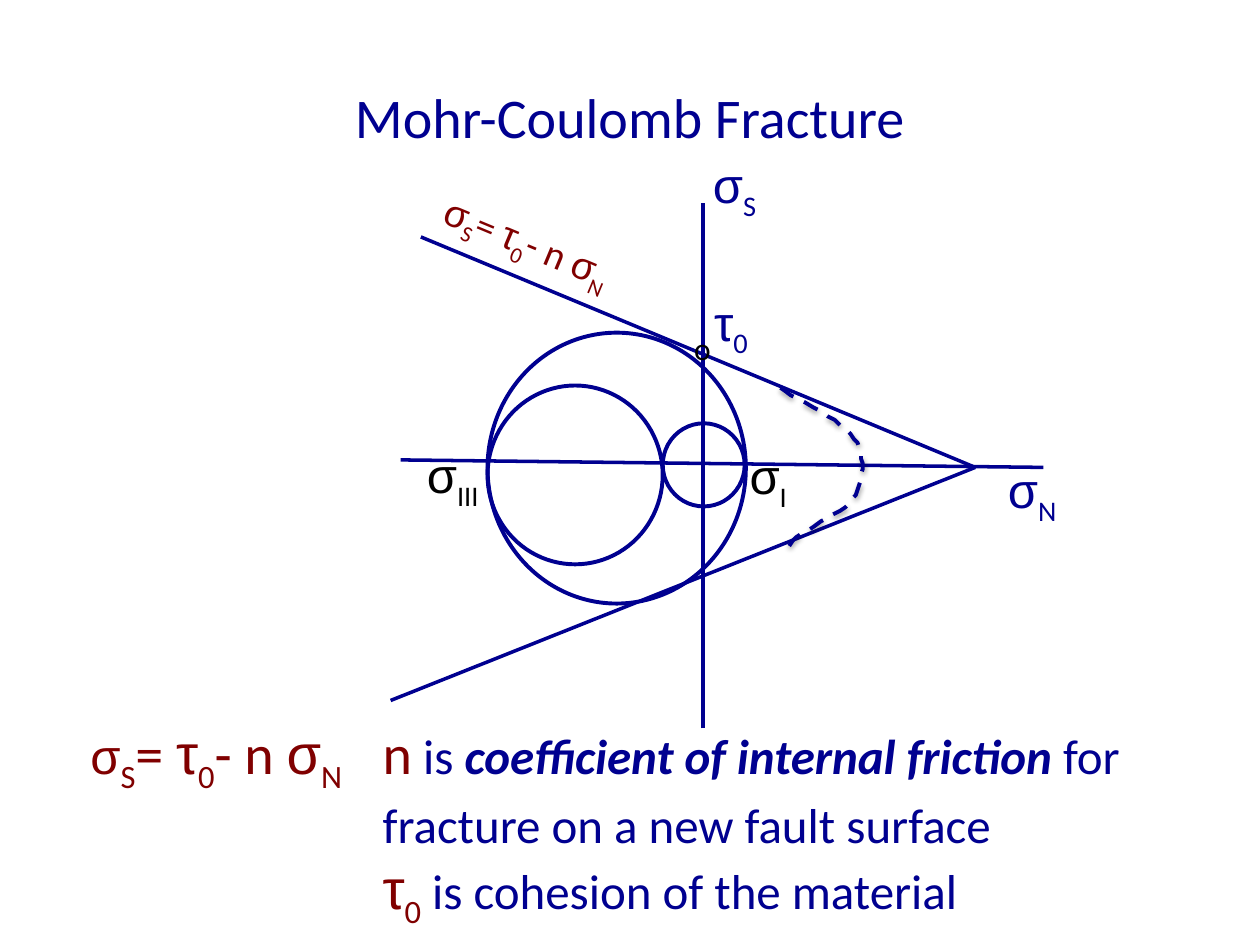
"""Build the Mohr-Coulomb fracture slide."""
from lxml import etree
from pptx import Presentation
from pptx.dml import color
from pptx.enum import dml, shapes, text
from pptx.oxml import ns
from pptx.util import Pt

NAVY, RED, BLACK = "000090", "800000", "000000"
hue = color.RGBColor.from_string


def put(para, words, size, tint, bold=False):
    """Add runs split at bars; a leading underscore marks a subscript."""
    for part in words.split("|"):
        run = para.add_run()
        run.text = part.lstrip("_")
        font = run.font
        font.size = Pt(size)
        font.name = "Arial" if part in "στ" else "Calibri"
        font.bold = font.italic = bold
        font.color.rgb = hue(tint)
        if part.startswith("_"):
            run._r.get_or_add_rPr().set("baseline", "-25000")


def trim(shape, width, tint=NAVY):
    """Give a shape or connector a plain line."""
    shape.line.color.rgb = hue(tint)
    shape.line.width = Pt(width)


deck = Presentation()
deck.slide_width, deck.slide_height = Pt(720), Pt(540)
slide = deck.slides.add_slide(deck.slide_layouts[5])
draw = slide.shapes

title = draw.title
title.left, title.top, title.width, title.height = Pt(36), Pt(21.6), Pt(648), Pt(90)
title.text_frame.vertical_anchor = text.MSO_ANCHOR.MIDDLE
head = title.text_frame.paragraphs[0]
head.alignment = text.PP_ALIGN.CENTER
put(head, "Mohr-Coulomb Fracture", 32, NAVY)

note = draw.add_textbox(Pt(44.6), Pt(406.8), Pt(652.3), Pt(118.8)).text_frame
note.word_wrap = True
first, last = note.paragraphs[0], note.add_paragraph()
for para, dent in ((first, -167), (last, 0)):
    props = para._p.get_or_add_pPr()
    props.set("marL", str(Pt(167)))
    props.set("indent", str(Pt(dent)))
put(first, "σ", 28, RED)
put(first, "_S|= |τ|_0|- n |σ|_N|\tn", 32, RED)
put(first, " is ", 28, NAVY)
put(first, "coefficient of internal friction", 28, NAVY, bold=True)
put(first, " for fracture on a new fault surface", 28, NAVY)
put(last, "τ|_0", 32, RED)
put(last, " is cohesion of the material", 28, NAVY)

tip = (557.3, 267.1)
lines = [
    ((229, 262.8), (596.2, 267.1)),
    ((401.8, 416.2), (401.8, 115.9)),
    ((240.5, 135.4), tip),
    ((223.2, 400.3), tip),
]
for start, end in lines:
    line = draw.add_connector(
        shapes.MSO_CONNECTOR.STRAIGHT, *(Pt(n) for n in start + end))
    trim(line, 2)
    etree.SubElement(line._element.spPr, ns.qn("a:effectLst"))

rings = [
    (278.6, 190.1, 147.6, 154.8),
    (278.6, 220.3, 100.1, 102.2),
    (378.7, 241.9, 46.8, 47.5),
]
for box in rings:
    ring = draw.add_shape(shapes.MSO_SHAPE.OVAL, *(Pt(n) for n in box))
    ring.fill.background()
    ring.shadow.inherit = False
    trim(ring, 2.25)

knots = [
    (451.4, 311.8), (456.5, 301.7), (481, 295.2), (487.4, 285.1),
    (493.2, 275), (495.4, 261.4), (488.2, 250.6),
    (481, 239.8), (457.9, 230.4), (445, 221),
]
curve = [knots[0]]
for k in range(0, 9, 3):
    for step in range(1, 13):
        t = step / 12
        mix = ((1 - t) ** 3, 3 * t * (1 - t) ** 2, 3 * t * t * (1 - t), t ** 3)
        curve.append(tuple(
            sum(m * p[axis] for m, p in zip(mix, knots[k:k + 4])) for axis in (0, 1)))
path = draw.build_freeform(*curve[0], scale=Pt(1))
path.add_line_segments(curve[1:], close=False)
arc = path.convert_to_shape()
arc.fill.background()
trim(arc, 2.25)
arc.line.dash_style = dml.MSO_LINE.DASH
arc.shadow.inherit = False
glow = etree.SubElement(
    arc._element.spPr.find(ns.qn("a:effectLst")), ns.qn("a:outerShdw"),
    blurRad=str(Pt(3.1)), dist=str(Pt(1.6)), dir="5400000", rotWithShape="0")
shade = etree.SubElement(glow, ns.qn("a:srgbClr"), val=BLACK)
etree.SubElement(shade, ns.qn("a:alpha"), val="38000")

labels = [
    ("σ|_N", 568.8, 259.2, 59, 61.2, 28, NAVY, 0),
    ("σ|_S", 400.3, 85, 54.7, 61.2, 28, NAVY, 0),
    ("σ|_III", 236.9, 250.6, 61.9, 61.2, 28, BLACK, 0),
    ("σ|_I", 421.2, 251.3, 49, 61.2, 28, BLACK, 0),
    ("τ|_0", 401, 163.4, 50.4, 61.2, 28, NAVY, 0),
    ("o", 389.5, 184.3, 29.5, 37.4, 18, BLACK, 0),
    ("σ|_S|= |τ|_0|- n |σ|_N", 244.1, 122.4, 120.2, 33.8, 22, RED, 22.6),
]
for words, x, y, wide, high, size, tint, turn in labels:
    label = draw.add_textbox(Pt(x), Pt(y), Pt(wide), Pt(high))
    label.rotation = turn
    label.text_frame.word_wrap = False
    label.text_frame.auto_size = text.MSO_AUTO_SIZE.SHAPE_TO_FIT_TEXT
    put(label.text_frame.paragraphs[0], words, size, tint)

deck.save("out.pptx")
